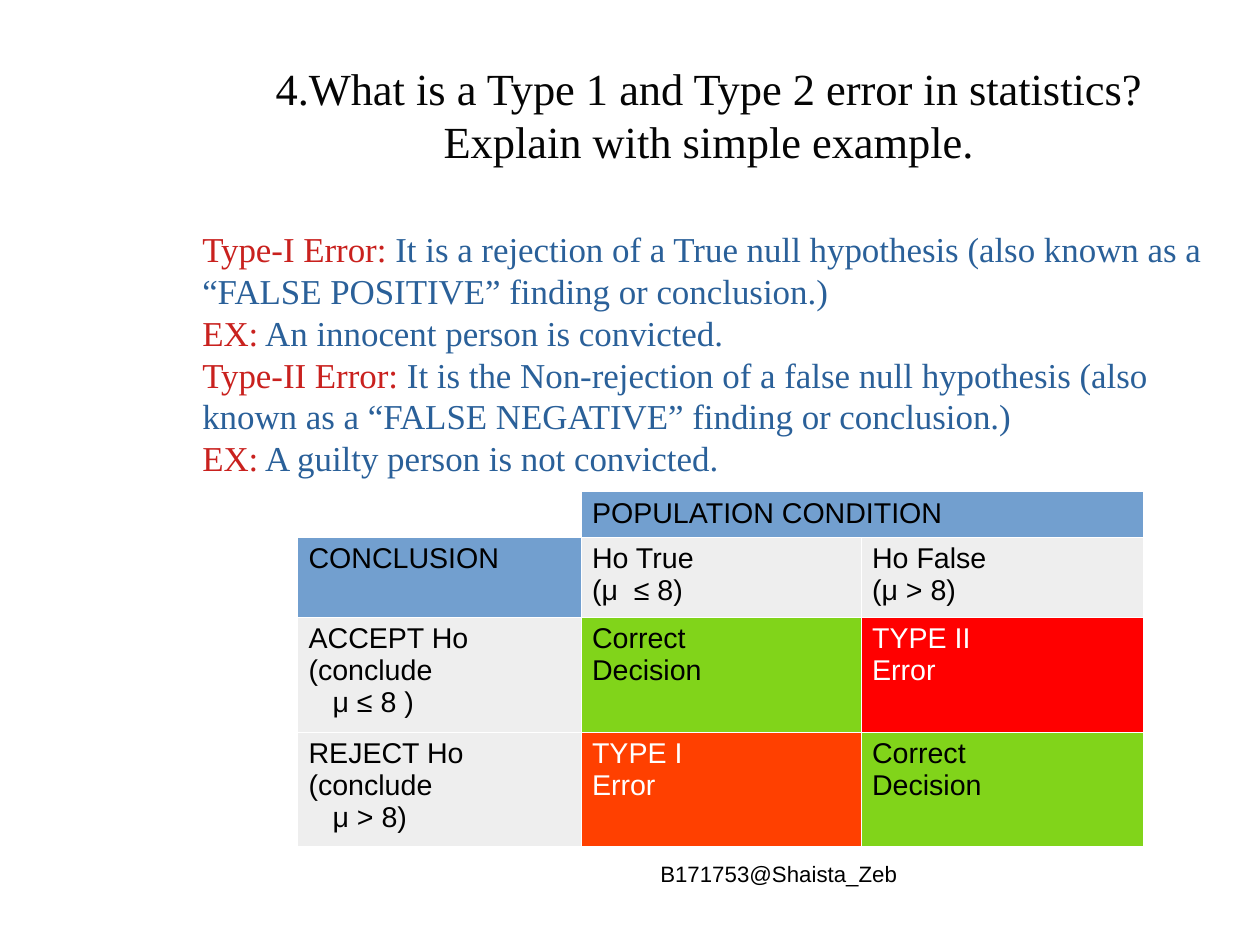
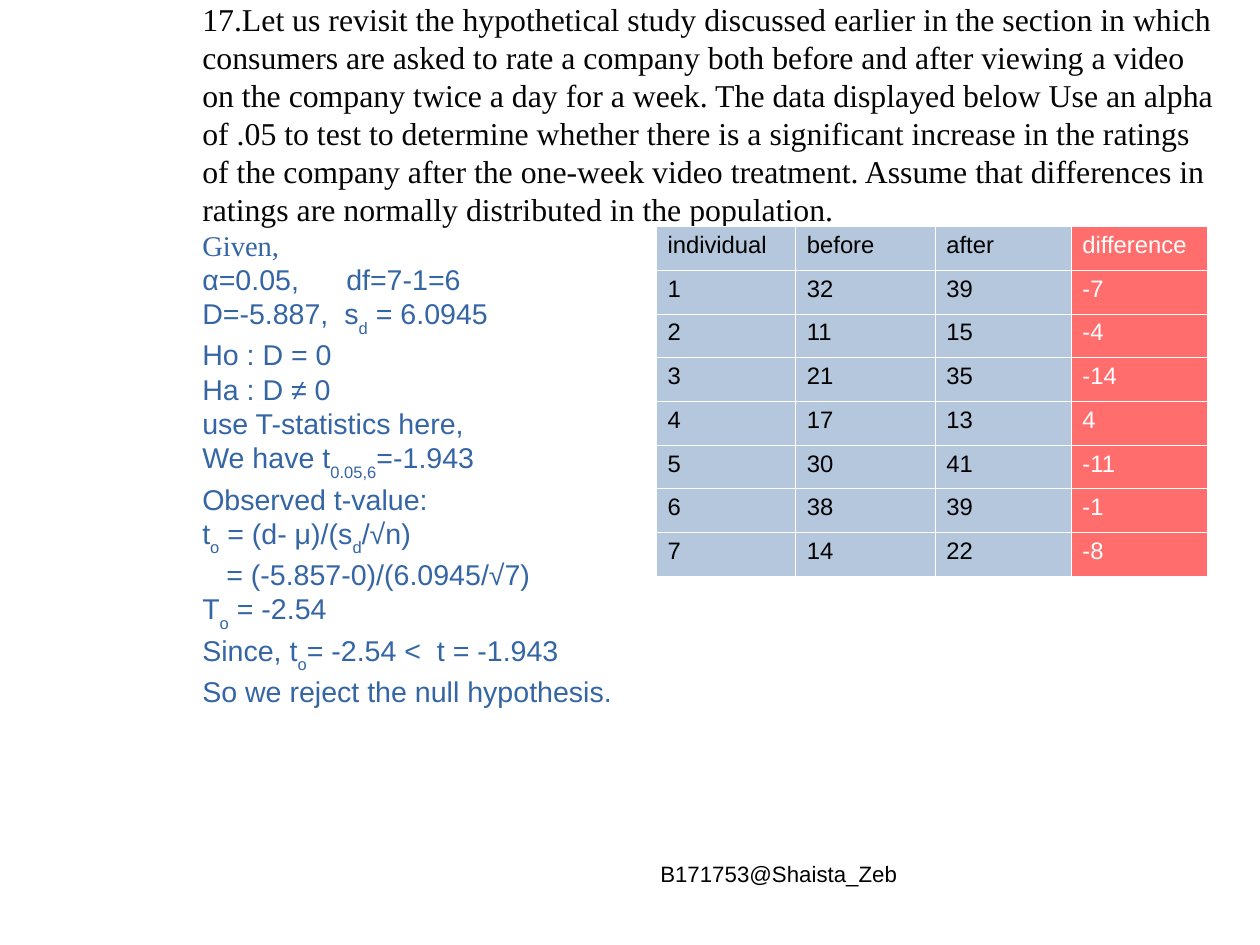
from lxml import etree
from pptx import Presentation
from pptx.dml.color import RGBColor
from pptx.enum.text import MSO_ANCHOR, PP_ALIGN
from pptx.oxml.ns import qn
from pptx.util import Cm, Inches, Pt

LEFT, MID, RIGHT = PP_ALIGN.LEFT, PP_ALIGN.CENTER, PP_ALIGN.RIGHT
TOP, CENTER = MSO_ANCHOR.TOP, MSO_ANCHOR.MIDDLE
SERIF, SANS = "Times New Roman", "Arial"
BLACK, WHITE, INK = "000000", "FFFFFF", "050505"
RED, NAVY, BLUE = "C9211E", "2A6099", "3465A4"
HEAD, GREY, GREEN = "729FCF", "EEEEEE", "81D41A"
PALE, CORAL = "B4C7DC", "FF6D6D"
BODY = (1.77, 1.99, 8.86, 4.79)
INDENT = 0.21
TAB = 1.26


def color(code):
    return RGBColor.from_string(code)


def style(run, size, face, code, sub=False):
    for key, val in {"size": Pt(size), "name": face}.items():
        setattr(run.font, key, val)
    run.font.color.rgb = color(code)
    if sub:
        run._r.get_or_add_rPr().set("baseline", "-33000")


def shift(para, text):
    """Indent lines that start with '>' and give tabbed lines a stop."""
    props = para._p.get_or_add_pPr()
    if text.startswith(">"):
        props.set("marL", str(Inches(INDENT)))
        props.set("indent", "0")
        text = text[1:]
    if "\t" in text:
        stops = etree.SubElement(props, qn("a:tabLst"))
        etree.SubElement(stops, qn("a:tab"), pos=str(Inches(TAB)), algn="l")
    return text


def write(frame, lines, size, face, code, align=LEFT):
    """Each line is a string, or a list of (text, colour) parts.
    Text between tildes is set as subscript, and a newline breaks the line."""
    for i, line in enumerate(lines):
        para = frame.paragraphs[0] if i == 0 else frame.add_paragraph()
        para.alignment = align
        parts = [(shift(para, line), code)] if isinstance(line, str) else line
        for text, tone in parts:
            for n, row in enumerate(text.split("\n")):
                if n:
                    para.add_line_break()
                for j, bit in enumerate(row.split("~")):
                    if bit:
                        run = para.add_run()
                        run.text = bit
                        style(run, size, face, tone, j % 2 == 1)


def add_box(slide, box, anchor=TOP):
    frame = slide.shapes.add_textbox(*map(Inches, box)).text_frame
    form = {"word_wrap": True, "vertical_anchor": anchor, "margin_left": 0,
            "margin_right": 0, "margin_top": 0, "margin_bottom": 0}
    for key, val in form.items():
        setattr(frame, key, val)
    return frame


def add_title(slide, box, text, size, align):
    write(add_box(slide, box, CENTER), [text], size, SERIF, INK, align)


def add_footer(slide):
    frame = add_box(slide, (4.36, 7.53, 3.49, 0.57))
    write(frame, ["B171753@Shaista_Zeb"], 14, SANS, BLACK, RIGHT)


def fill_cell(cell, lines, size, code, back):
    props = cell._tc.get_or_add_tcPr()
    for side in ("lnL", "lnR", "lnT", "lnB"):
        edge = etree.SubElement(props, qn("a:" + side), w="762")
        solid = etree.SubElement(edge, qn("a:solidFill"))
        etree.SubElement(solid, qn("a:srgbClr"), val=WHITE)
    cell.fill.solid()
    cell.fill.fore_color.rgb = color(back)
    write(cell.text_frame, lines, size, SANS, code)


def add_grid(slide, left, top, cols, rows, cells, size):
    """Cells are (lines, text colour, fill), row by row."""
    box = map(Inches, (left, top, sum(cols), sum(rows)))
    table = slide.shapes.add_table(len(rows), len(cols), *box).table
    table.first_row = table.horz_banding = False
    for col, wide in zip(table.columns, cols):
        col.width = Inches(wide)
    for r, (row, high) in enumerate(zip(table.rows, rows)):
        row.height = Inches(high)
        for c, (lines, code, back) in enumerate(cells[r]):
            fill_cell(table.cell(r, c), lines, size, code, back)
    return table


def add_errors(slide):
    add_title(slide, (1.77, 0.32, 8.86, 1.36),
              "4.What is a Type 1 and Type 2 error in statistics?\n"
              "Explain with simple example.", 28, MID)
    # Definitions: red label, blue text
    terms = [
        ("Type-I Error:", " It is a rejection of a True null hypothesis (also known "
         "as a “FALSE POSITIVE” finding or conclusion.)"),
        ("EX:", " An innocent person is convicted."),
        ("Type-II Error:", " It is the Non-rejection of a false null hypothesis (also "
         "known as a “FALSE NEGATIVE” finding or conclusion.)"),
        ("EX:", " A guilty person is not convicted."),
    ]
    lines = [[(label, RED), (text, NAVY)] for label, text in terms]
    write(add_box(slide, BODY), lines, 22, SERIF, NAVY)
    # Decision table
    right = (["Correct", "Decision"], BLACK, GREEN)
    cells = [
        [([], BLACK, WHITE), (["POPULATION CONDITION"], BLACK, HEAD), ([], BLACK, HEAD)],
        [(["CONCLUSION"], BLACK, HEAD), (["Ho True", "(μ  ≤ 8)"], BLACK, GREY),
         (["Ho False", "(μ > 8)"], BLACK, GREY)],
        [(["ACCEPT Ho", "(conclude", ">μ ≤ 8 )"], BLACK, GREY), right,
         (["TYPE II", "Error"], WHITE, "FF0000")],
        [(["REJECT Ho", "(conclude", ">μ > 8)"], BLACK, GREY),
         (["TYPE I", "Error"], WHITE, "FF4000"), right],
    ]
    table = add_grid(slide, 2.6, 4.3, [2.48, 2.45, 2.47],
                     [0.39, 0.7, 1, 1], cells, 18)
    table.cell(0, 1).merge(table.cell(0, 2))


def add_study(slide):
    add_title(slide, (1.77, 0.07, 8.86, 1.85), (
        "17.Let us revisit the hypothetical study discussed earlier in the section in "
        "which consumers are asked to rate a company both before and after viewing a "
        "video on the company twice a day for a week. The data displayed below Use an "
        "alpha of .05 to test to determine whether there is a significant increase in "
        "the ratings of the company after the one-week video treatment. Assume that "
        "differences in ratings are normally distributed in the population."), 20, LEFT)
    # Worked solution
    frame = add_box(slide, BODY)
    write(frame, [
        "Given,", "α=0.05,\tdf=7-1=6", "D=-5.887,  s~d~ = 6.0945", "Ho : D = 0",
        "Ha : D ≠ 0", "use T-statistics here,", "We have t~0.05,6~=-1.943",
        "Observed t-value:", "t~o~ = (d- μ)/(s~d~/√n)",
        ">= (-5.857-0)/(6.0945/√7)", "T~o~ = -2.54",
        "Since, t~o~= -2.54 <  t = -1.943", "So we reject the null hypothesis.",
    ], 18, SANS, BLUE)
    frame.paragraphs[0].runs[0].font.name = SERIF
    # Ratings, with the differences beside them
    before = [32, 11, 21, 17, 30, 38, 14]
    after = [39, 15, 35, 13, 41, 39, 22]
    pairs = list(zip(before, after))
    rates = [("individual", "before", "after")]
    rates += [(n, b, a) for n, (b, a) in enumerate(pairs, 1)]
    gaps = [("difference",)] + [(b - a,) for b, a in pairs]
    for left, cols, data, code, back in (
            (5.74, [1.22] * 3, rates, BLACK, PALE),
            (9.37, [1.19], gaps, WHITE, CORAL)):
        cells = [[([str(v)], code, back) for v in row] for row in data]
        add_grid(slide, left, 1.98, cols, [3.06 / len(data)] * len(data), cells, 15)


def main():
    deck = Presentation()
    deck.slide_width = Cm(28)
    deck.slide_height = Cm(21)
    blank = deck.slide_layouts[6]
    for build in (add_errors, add_study):
        slide = deck.slides.add_slide(blank)
        build(slide)
        add_footer(slide)
    deck.save("out.pptx")


if __name__ == "__main__":
    main()
